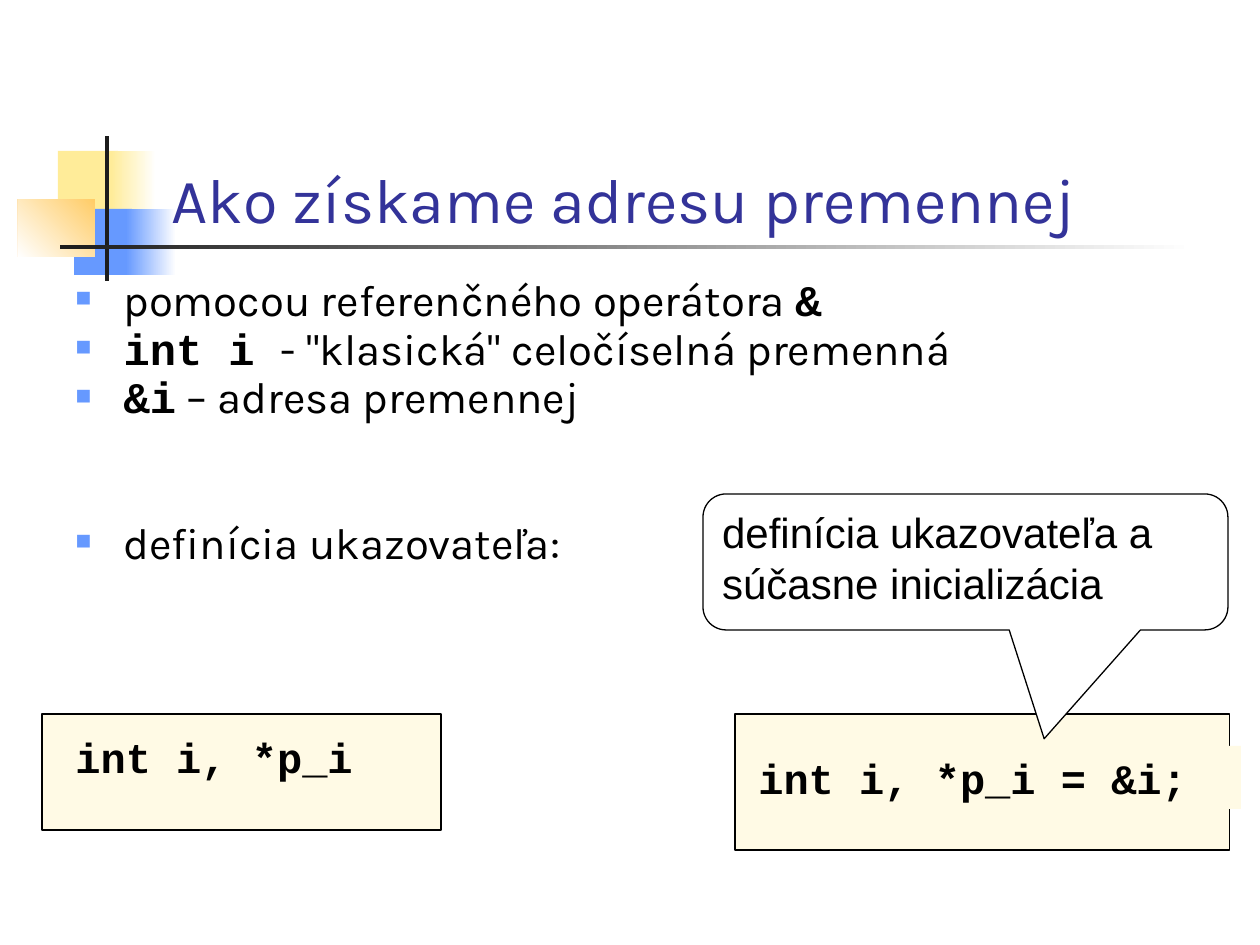
from lxml.etree import SubElement
from pptx import Presentation
from pptx.dml.color import RGBColor
from pptx.enum.shapes import MSO_SHAPE
from pptx.enum.text import MSO_ANCHOR, MSO_AUTO_SIZE, PP_ALIGN
from pptx.oxml.ns import qn
from pptx.util import Pt

PX = 914400 // 126
COLORS = {
    "white": "FFFFFF", "black": "000000", "ink": "1C1C1C", "title": "333399",
    "yellow": "FFEC99", "blue": "6699FF", "orange": "FFCC66", "code": "FFFAE5",
}


def add_box(box, fill, fill_end=None, angle=180, line=None, kind=MSO_SHAPE.RECTANGLE):
    """Add a shape with a plain fill, or a gradient when fill_end is given."""
    shape = slide.shapes.add_shape(kind, *[value * PX for value in box])
    shape.shadow.inherit = False
    if fill_end:
        shape.fill.gradient()
        shape.fill.gradient_angle = angle
        for stop, name in zip(shape.fill.gradient_stops, (fill, fill_end)):
            stop.color.rgb = RGBColor.from_string(COLORS[name])
    else:
        shape.fill.solid()
        shape.fill.fore_color.rgb = RGBColor.from_string(COLORS[fill])
    if line:
        shape.line.color.rgb = RGBColor.from_string(COLORS[line])
        shape.line.width = Pt(0.75)
    else:
        shape.line.fill.background()
    return shape


def add_text(paragraph, text, font="Karla", size=24, color="black", bold=False):
    paragraph.alignment = PP_ALIGN.LEFT
    run = paragraph.add_run()
    run.text = text
    run.font.name = font
    run.font.size = Pt(size)
    run.font.bold = bold
    run.font.color.rgb = RGBColor.from_string(COLORS[color])


presentation = Presentation()
presentation.slide_width = 1260 * PX
presentation.slide_height = 945 * PX
slide = presentation.slides.add_slide(presentation.slide_layouts[1])

# Corner ornament and rule under the title
add_box((58, 151, 60, 66), "yellow")
add_box((111, 151, 45, 66), "white", "yellow")
add_box((74, 209, 58, 66), "blue")
add_box((126, 209, 50, 66), "white", "blue")
add_box((18, 199, 77, 58), "orange", "white", angle=225)
add_box((105, 136, 4, 145), "ink")
add_box((60, 245, 1134, 4), "white", "ink")

# Title and body placeholders, in front of the ornament
title, body = slide.placeholders
for placeholder, box in ((title, (159, 84, 1074, 158)), (body, (63, 281, 1116, 316))):
    placeholder.left, placeholder.top, placeholder.width, placeholder.height = [
        value * PX for value in box]
    placeholder.text_frame.auto_size = MSO_AUTO_SIZE.NONE
    placeholder.element.getparent().append(placeholder.element)
title.text_frame.vertical_anchor = MSO_ANCHOR.BOTTOM
add_text(title.text_frame.paragraphs[0], "Ako získame adresu premennej", size=36, color="title")

# Bullets: space before in points, then (text, is code) runs
bullets = [
    (0, [("pomocou referenčného operátora ", False), ("&", True)]),
    (6.8, [("int i ", True), ("- \"klasická\" celočíselná premenná", False)]),
    (6.8, [("&i", True), (" – adresa premennej", False)]),
    (62, [("definícia ukazovateľa:", False)]),
]
for index, (space, runs) in enumerate(bullets):
    frame = body.text_frame
    paragraph = frame.add_paragraph() if index else frame.paragraphs[0]
    paragraph.line_spacing = 0.7
    paragraph.space_before = Pt(space)
    properties = paragraph._p.get_or_add_pPr()
    properties.set("marL", str(48 * PX))
    properties.set("indent", str(-48 * PX))
    bullet_color = SubElement(properties, qn("a:buClr"))
    SubElement(bullet_color, qn("a:srgbClr"), val=COLORS["blue"])
    SubElement(properties, qn("a:buSzPct"), val="60000")
    SubElement(properties, qn("a:buFont"), typeface="Arial")
    SubElement(properties, qn("a:buChar"), char="■")
    for text, is_code in runs:
        add_text(paragraph, text, font="Courier New" if is_code else "Karla",
                 size=25, bold=is_code)

# Code boxes: frame, then the text area inside it
code_boxes = [
    ((42, 714, 399, 116), (63, 725, 357, 63), "int i, *p_i"),
    ((735, 714, 495, 136), (746, 746, 495, 63), "int i, *p_i = &i;"),
]
for frame_box, text_box, code in code_boxes:
    add_box(frame_box, "code", line="black")
    shape = add_box(text_box, "code")
    shape.text_frame.word_wrap = True
    shape.text_frame.vertical_anchor = MSO_ANCHOR.TOP
    add_text(shape.text_frame.paragraphs[0], code, font="Courier New", bold=True)

# Callout pointing at the initialised pointer
callout = add_box((703, 494, 525, 136), "white", line="black",
                  kind=MSO_SHAPE.ROUNDED_RECTANGULAR_CALLOUT)
for index, value in enumerate((0.15, 1.3, 0.17)):
    callout.adjustments[index] = value
callout.text_frame.word_wrap = True
callout.text_frame.vertical_anchor = MSO_ANCHOR.TOP
add_text(callout.text_frame.paragraphs[0],
         "definícia ukazovateľa a súčasne inicializácia", font="Arial")

presentation.save("out.pptx")
